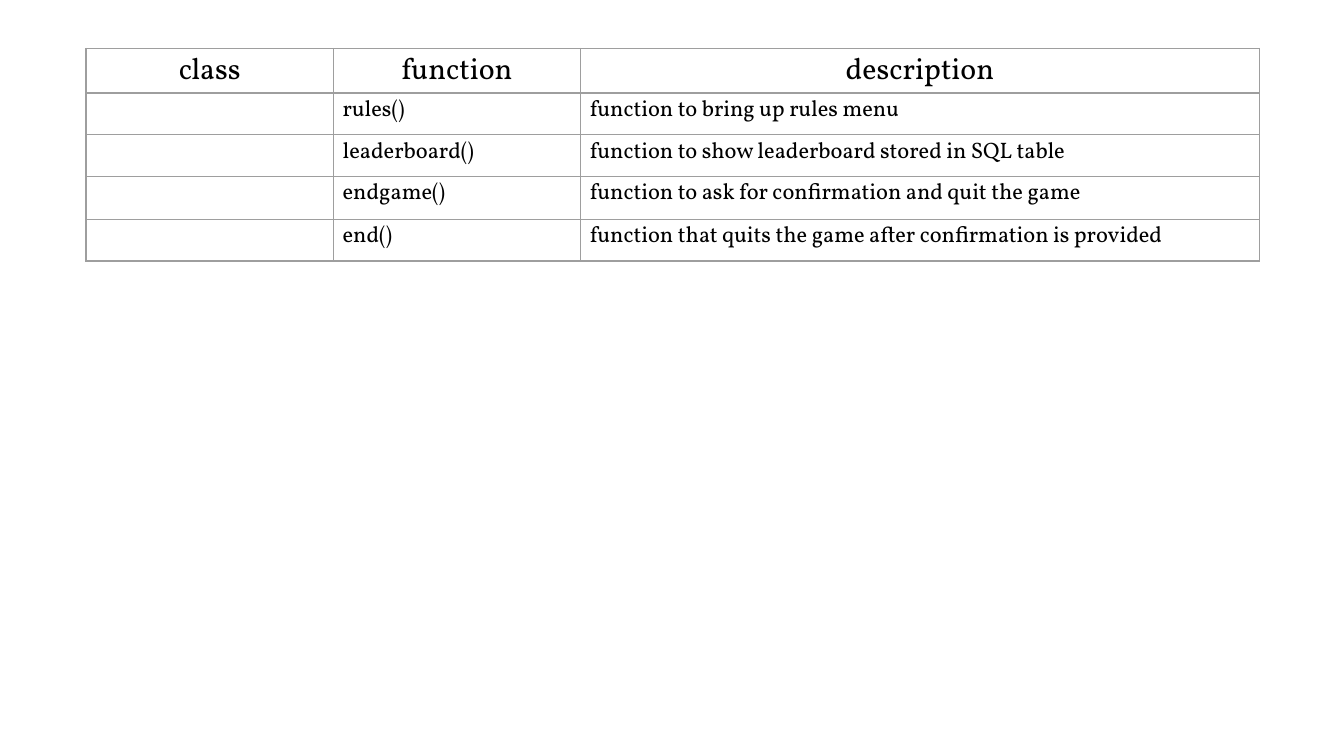
from lxml.etree import SubElement
from pptx import Presentation
from pptx.dml.color import RGBColor
from pptx.enum.text import PP_ALIGN
from pptx.oxml.ns import qn
from pptx.util import Inches, Pt


def color(hex_string):
    return RGBColor.from_string(hex_string)


def add_borders(cell, hex_string, width):
    properties = cell._tc.get_or_add_tcPr()
    for side in ("lnL", "lnR", "lnT", "lnB"):
        line = SubElement(properties, qn(f"a:{side}"), w=str(Pt(width)))
        fill = SubElement(line, qn("a:solidFill"))
        SubElement(fill, qn("a:srgbClr"), val=hex_string)


# Slide in 16:9 format
deck = Presentation()
deck.slide_width = Inches(10)
deck.slide_height = Inches(10) * 9 // 16
page = deck.slides.add_slide(deck.slide_layouts[6])

# Table content: the header, then one row per function
rows = [
    ("class", "function", "description"),
    ("", "rules()", "function to bring up rules menu"),
    ("", "leaderboard()", "function to show leaderboard stored in SQL table"),
    ("", "endgame()", "function to ask for confirmation and quit the game"),
    ("", "end()", "function that quits the game after confirmation is provided"),
]
column_widths = [1.84, 1.84, 5.05]
row_heights = [0.27, 0.31, 0.31, 0.32, 0.31]

# Table grid
frame = page.shapes.add_table(
    len(rows), len(column_widths), Inches(0.64), Inches(0.36),
    Inches(sum(column_widths)), Inches(sum(row_heights)))
table = frame.table
table.first_row = False
table.horz_banding = False
for column, width in zip(table.columns, column_widths):
    column.width = Inches(width)
for row, height in zip(table.rows, row_heights):
    row.height = Inches(height)

# Cells
for row_index, texts in enumerate(rows):
    is_header = row_index == 0
    for column_index, text in enumerate(texts):
        cell = table.cell(row_index, column_index)
        cell.margin_left = cell.margin_right = Inches(0.07)
        cell.margin_top = cell.margin_bottom = 0
        add_borders(cell, "9E9E9E", 0.75)
        cell.fill.background()
        if not text:
            continue
        para = cell.text_frame.paragraphs[0]
        para.alignment = PP_ALIGN.CENTER if is_header else PP_ALIGN.LEFT
        para.line_spacing = 1.07
        para.space_after = Pt(8)
        span = para.add_run()
        span.text = text
        span.font.name = "Vollkorn"
        span.font.size = Pt(16 if is_header else 12)
        span.font.color.rgb = color("000000")

deck.save("out.pptx")
